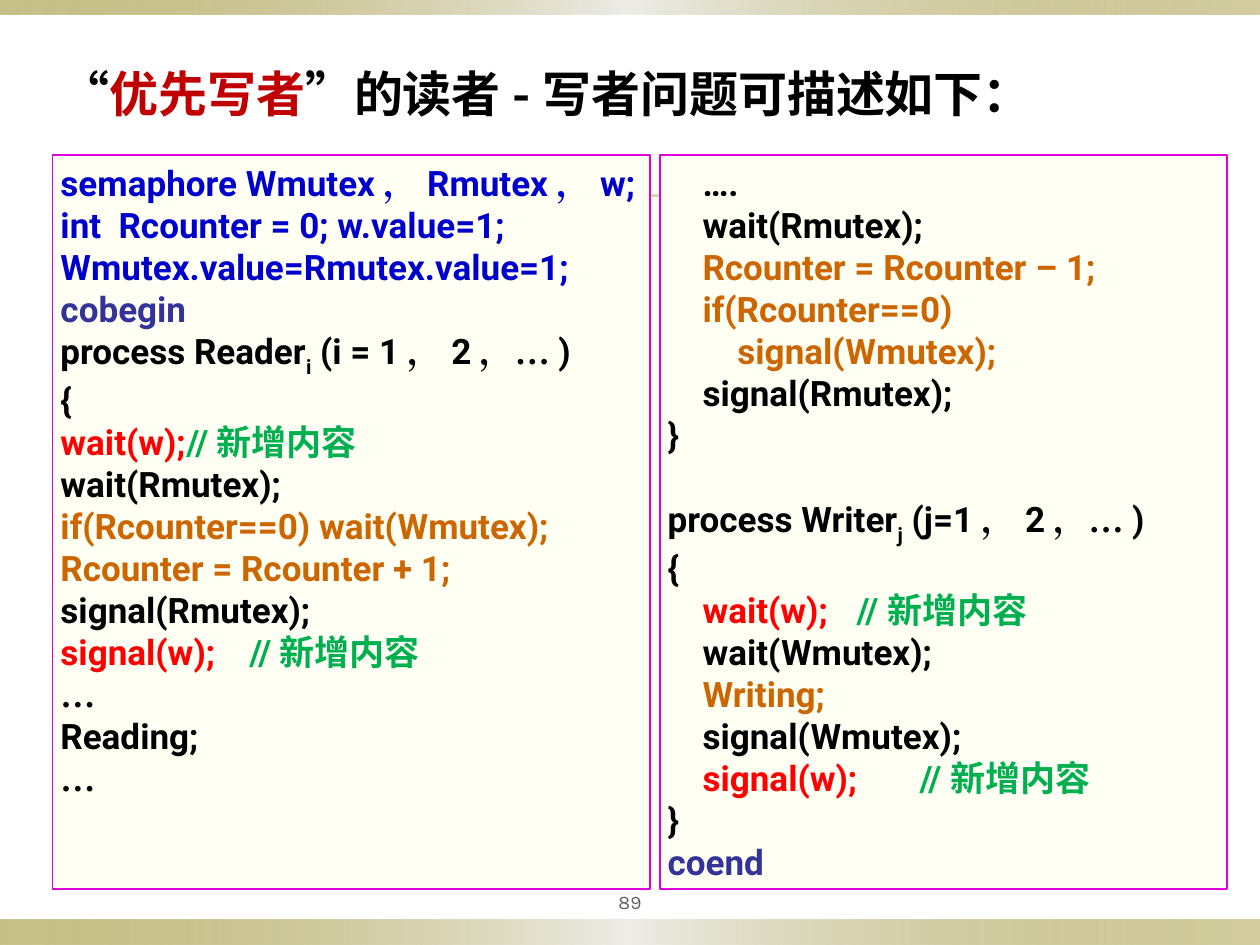
from itertools import groupby

from lxml import etree
from pptx import Presentation
from pptx.dml.color import RGBColor
from pptx.enum.shapes import MSO_SHAPE
from pptx.enum.text import MSO_ANCHOR, PP_ALIGN
from pptx.oxml import parse_xml
from pptx.oxml.ns import nsdecls, qn
from pptx.util import Cm, Pt

BLACK = RGBColor(0, 0, 0)
DARK_RED = RGBColor(0xC0, 0, 0)
RED = RGBColor(0xFF, 0, 0)
BLUE = RGBColor(0, 0, 0xCC)
INDIGO = RGBColor(0x33, 0x33, 0x99)
ORANGE = RGBColor(0xCC, 0x66, 0)
GREEN = RGBColor(0, 0xB0, 0x50)
GREY = RGBColor(0x63, 0x63, 0x63)
CREAM = RGBColor(0xFF, 0xFF, 0xF4)
MAGENTA = RGBColor(0xDD, 0, 0xDD)

TITLE_FONT, CODE_FONT, MARK_FONT = "Noto Sans CJK SC", "Roboto", "Times New Roman"
SUB = -30000

# Content: each line is a list of (text, colour) or (text, colour, baseline)
TITLE = [("“", BLACK), ("优先写者", DARK_RED), ("”的读者-写者问题可描述如下：", BLACK)]
ADDED = ("//新增内容", GREEN)
READER = [
    [("semaphore Wmutex，Rmutex，w;", BLUE)],
    [("int  Rcounter = 0; w.value=1;", BLUE)],
    [("Wmutex.value=Rmutex.value=1;", BLUE)],
    [("cobegin", INDIGO)],
    [("process Reader", BLACK), ("i", BLACK, SUB), (" (i = 1，2，…)", BLACK)],
    [("{", BLACK)],
    [("wait(w);\t", RED), ADDED],
    [("wait(Rmutex);", BLACK)],
    [("if(Rcounter==0) wait(Wmutex);", ORANGE)],
    [("Rcounter = Rcounter + 1;", ORANGE)],
    [("signal(Rmutex);", BLACK)],
    [("signal(w);\t", RED), ADDED],
    [("…", BLACK)],
    [("Reading;", BLACK)],
    [("…", BLACK)],
]
READER_END = [
    [("    ….", BLACK)],
    [("    wait(Rmutex);", BLACK)],
    [("    Rcounter = Rcounter – 1;", ORANGE)],
    [("    if(Rcounter==0)", ORANGE)],
    [("        signal(Wmutex);", ORANGE)],
    [("    signal(Rmutex);", BLACK)],
    [("}", BLACK)],
]
WRITER = [
    [("process Writer", BLACK), ("j", BLACK, SUB), (" (j=1，2，…)", BLACK)],
    [("{", BLACK)],
    [("    wait(w);\t", RED), ADDED],
    [("    wait(Wmutex);", BLACK)],
    [("    Writing;", ORANGE)],
    [("    signal(Wmutex);", BLACK)],
    [("    signal(w);\t", RED), ADDED],
    [("}", BLACK)],
    [("coend", INDIGO)],
]
# Left, width and blocks of lines
PANELS = [
    (Cm(1.06), Cm(12.04), [READER]),
    (Cm(13.3), Cm(11.44), [READER_END, WRITER]),
]
# Gradient stops: colour, opacity in percent
BAND = [("918415", 50), ("EEEDE8", 100), ("918415", 40)]
RULE = [("DCD9CC", 20), ("918415", 40), ("DCD9CC", 50)]
# Left, top, width, height and gradient
BARS = [
    (Cm(0), Cm(18.54), Cm(25.4), Cm(0.51), BAND),
    (Cm(0), Cm(0), Cm(25.4), Cm(0.3), BAND),
    (Cm(1.27), Cm(3.92), Cm(22.86), Cm(0.05), RULE),
]


def add_box(slide, left, top, width, height):
    sp = slide.shapes.add_shape(MSO_SHAPE.RECTANGLE, left, top, width, height)
    sp.shadow.inherit = False
    return sp


def add_gradient(sp, stops):
    step = 100000 // (len(stops) - 1)
    gs = "".join(
        f'<a:gs pos="{i * step}"><a:srgbClr val="{colour}">'
        f'<a:alpha val="{alpha * 1000}"/></a:srgbClr></a:gs>'
        for i, (colour, alpha) in enumerate(stops))
    sp.element.spPr.find(qn("a:prstGeom")).addnext(parse_xml(
        f'<a:gradFill {nsdecls("a")}><a:gsLst>{gs}</a:gsLst>'
        '<a:lin ang="0" scaled="0"/></a:gradFill>'))


def set_frame(tf, anchor=MSO_ANCHOR.TOP, side=Cm(0.16)):
    tf.word_wrap = True
    tf.vertical_anchor = anchor
    tf.margin_left = tf.margin_right = side
    tf.margin_top = tf.margin_bottom = Cm(0.13)


def add_run(p, text, font, size, colour, bold=True, baseline=0):
    r = p.add_run()
    r.text = text
    r.font.name, r.font.size, r.font.bold = font, Pt(size), bold
    r.font.color.rgb = colour
    rPr = r.font._element
    etree.SubElement(rPr, qn("a:ea")).set("typeface", font)
    if baseline:
        rPr.set("baseline", str(baseline))


def add_code_line(p, line):
    p.alignment = PP_ALIGN.JUSTIFY
    for text, colour, *base in line:
        # Full-width commas and ellipses take their own font
        marks = "" if text.endswith("….") else "，…"
        for is_mark, chars in groupby(text, lambda c: c in marks):
            add_run(p, "".join(chars), MARK_FONT if is_mark else CODE_FONT,
                    20, colour, baseline=base[0] if base else 0)


prs = Presentation()
prs.slide_width, prs.slide_height = Cm(25.4), Cm(19.05)
s = prs.slides.add_slide(prs.slide_layouts[5])

# Decorative bars
for *place, stops in BARS:
    bar = add_box(s, *place)
    bar.line.fill.background()
    add_gradient(bar, stops)

# Page number
number = s.shapes.add_textbox(Cm(11.43), Cm(17.78), Cm(2.54), Cm(0.79))
set_frame(number.text_frame, MSO_ANCHOR.MIDDLE, Cm(0.13))
p = number.text_frame.paragraphs[0]
p.alignment = PP_ALIGN.CENTER
add_run(p, "89", "Karla", 11, GREY, bold=False)

# Title
title = s.shapes.title
title.left, title.top, title.width, title.height = Cm(1.06), Cm(1.14), Cm(23.44), Cm(1.45)
set_frame(title.text_frame)
p = title.text_frame.paragraphs[0]
p.alignment = PP_ALIGN.LEFT
for text, colour in TITLE:
    add_run(p, text, TITLE_FONT, 28, colour)

# Code panels
for left, width, blocks in PANELS:
    panel = add_box(s, left, Cm(3.12), width, Cm(14.81))
    panel.fill.solid()
    panel.fill.fore_color.rgb = CREAM
    panel.line.color.rgb = MAGENTA
    panel.line.width = Pt(1)
    tf = panel.text_frame
    set_frame(tf)
    for b, block in enumerate(blocks):
        for n, line in enumerate(block):
            p = tf.paragraphs[0] if b == n == 0 else tf.add_paragraph()
            if b and n == 0:
                p.space_before = Pt(24)
            add_code_line(p, line)

prs.save("out.pptx")
